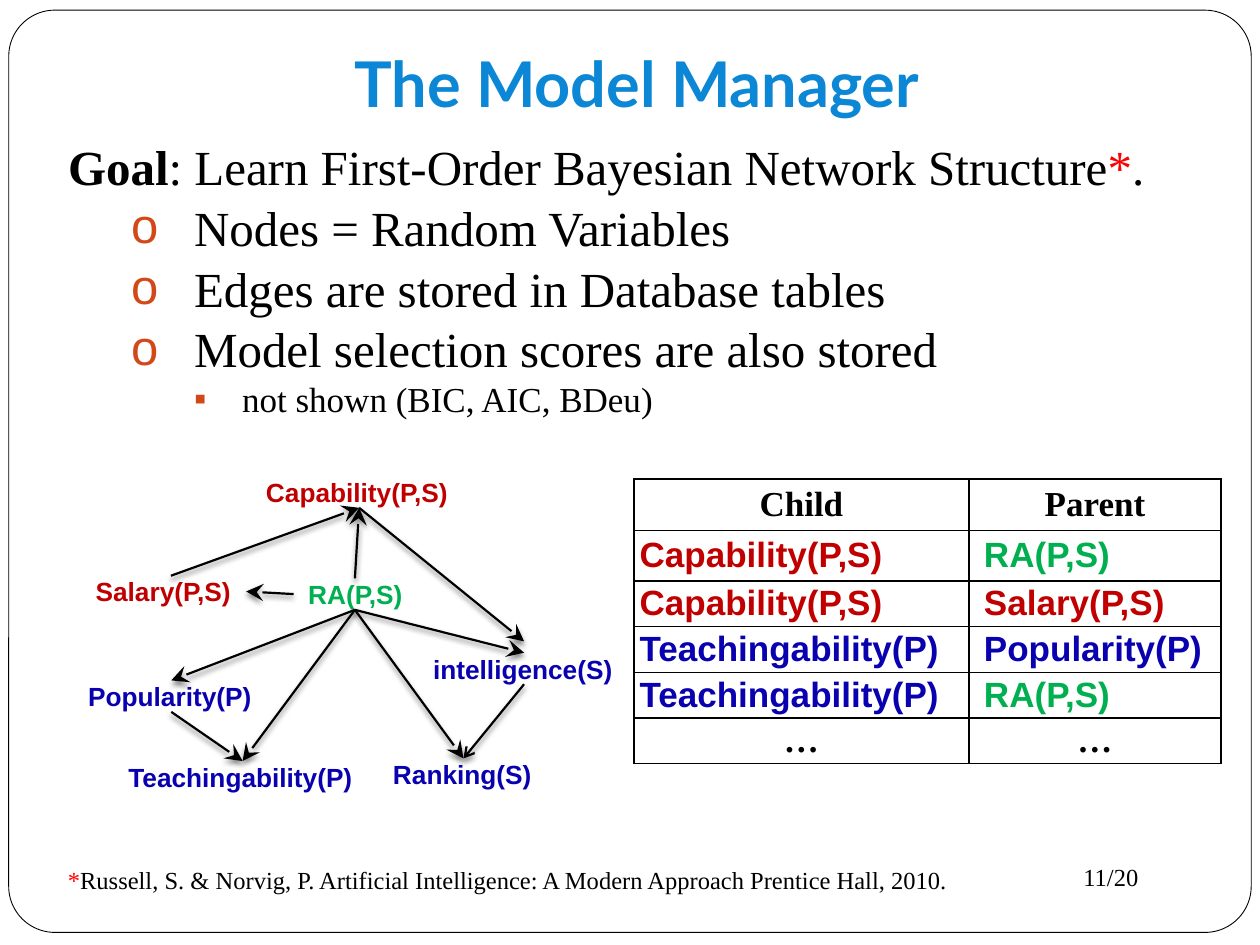
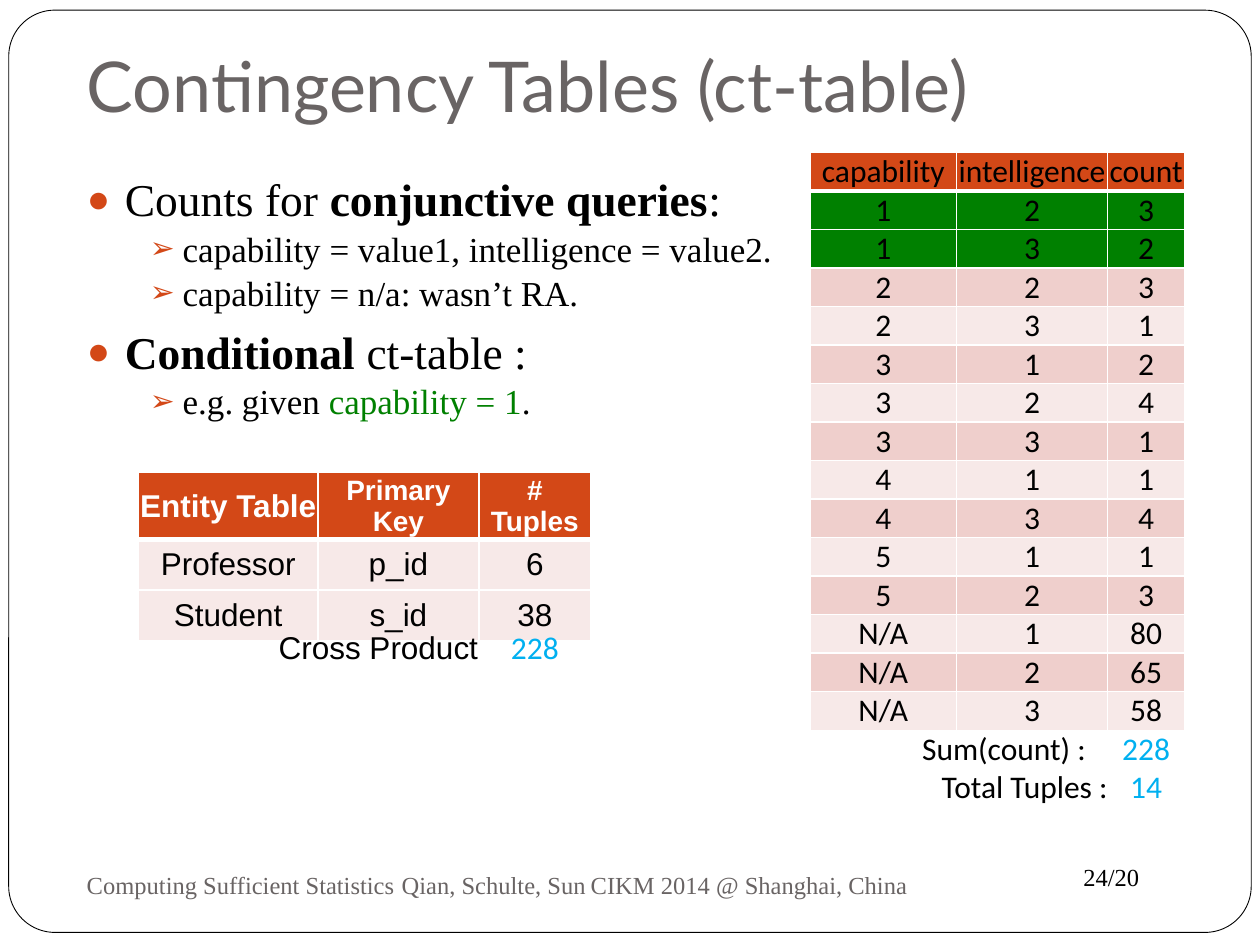
from lxml.etree import SubElement
from pptx import Presentation
from pptx.dml.color import RGBColor
from pptx.enum.shapes import MSO_CONNECTOR as LINE, MSO_SHAPE as SHAPE
from pptx.enum.text import MSO_ANCHOR as ANCHOR, MSO_AUTO_SIZE as FIT, PP_ALIGN as ALIGN
from pptx.oxml.ns import qn
from pptx.util import Pt

# Shared colours and fonts
BLACK, WHITE, RED, GREY = "000000", "FFFFFF", "FF0000", "696464"
ORANGE, ROSE, PALE = "D34817", "EFCFCC", "F7E9E8"
CRIMSON, LEAF, NAVY = "C00000", "00B050", "0901AF"
GREEN, SKY, TITLE_BLUE = "008000", "00B0F0", "0B87D6"
SERIF, SANS, TITLE_FONT, TABLE_FONT = "Times New Roman", "Arial", "Lato", "Calibri"
SMALL_SERIF = dict(name=SERIF, size=Pt(14), color=BLACK)

# Relation diagram: label, colour, left, top, width, left inset
NODES = {
    "Capability(P,S)": (CRIMSON, 152, 272.2, 106.5, 0),
    "RA(P,S)": (LEAF, 167.8, 330.5, 70, 8.3),
    "Salary(P,S)": (CRIMSON, 54.7, 329, 86, 0),
    "Popularity(P)": (NAVY, 50.4, 388.8, 95, 0),
    "intelligence(S)": (NAVY, 247.5, 373, 104, 0),
    "Ranking(S)": (NAVY, 224.6, 433.4, 80.5, 0),
    "Teachingability(P)": (NAVY, 73.4, 434.9, 130.5, 0),
}
NODE_HEIGHT = 18
SIDES = {"top": (0.5, 0), "bottom": (0.5, 1), "left": (0, 0.5), "right": (1, 0.5)}
# Source, side, target, side, arrowhead, gap above the target
EDGES = [
    ("RA(P,S)", "top", "Capability(P,S)", "bottom", "stealth", 0),
    ("Salary(P,S)", "top", "Capability(P,S)", "bottom", "stealth", 0),
    ("RA(P,S)", "bottom", "intelligence(S)", "top", "stealth", 0),
    ("RA(P,S)", "bottom", "Popularity(P)", "top", "stealth", 0),
    ("RA(P,S)", "bottom", "Teachingability(P)", "top", "stealth", 0),
    ("RA(P,S)", "bottom", "Ranking(S)", "top", "stealth", 0),
    ("Popularity(P)", "bottom", "Teachingability(P)", "top", "stealth", 0),
    ("RA(P,S)", "left", "Salary(P,S)", "right", "stealth", 0),
    ("intelligence(S)", "bottom", "Ranking(S)", "top", "arrow", 0),
    ("Capability(P,S)", "bottom", "intelligence(S)", "top", "stealth", 6.5),
]
PARENTS = [
    ("Capability(P,S)", "RA(P,S)"),
    ("Capability(P,S)", "Salary(P,S)"),
    ("Teachingability(P)", "Popularity(P)"),
    ("Teachingability(P)", "RA(P,S)"),
]
COUNTS = [
    (1, 2, 3), (1, 3, 2), (2, 2, 3), (2, 3, 1), (3, 1, 2), (3, 2, 4), (3, 3, 1),
    (4, 1, 1), (4, 3, 4), (5, 1, 1), (5, 2, 3),
    ("N/A", 1, 80), ("N/A", 2, 65), ("N/A", 3, 58),
]


def rgb(value):
    return RGBColor.from_string(value)


def add_node(parent, tag, **attributes):
    return SubElement(parent, qn(tag), {key: str(value) for key, value in attributes.items()})


def set_all(target, values):
    for name, value in values.items():
        setattr(target, name, value)


def style(font, look):
    set_all(font, {key: value for key, value in look.items() if key != "color"})
    font.color.rgb = rgb(look["color"])


def set_margins(target, margins):
    sides = ("margin_left", "margin_top", "margin_right", "margin_bottom")
    set_all(target, {side: Pt(value) for side, value in zip(sides, margins)})


def set_bullet(para, mark, left, hanging, scale):
    """Give a paragraph its indent, and a bullet if there is a mark."""
    props = para._p.get_or_add_pPr()
    props.set("marL", str(Pt(left)))
    props.set("indent", str(-Pt(hanging)))
    if not mark:
        add_node(props, "a:buNone")
        return
    add_node(add_node(props, "a:buClr"), "a:srgbClr", val=ORANGE)
    add_node(props, "a:buSzPct", val=scale * 1000)
    add_node(props, "a:buFont", typeface=SANS)
    add_node(props, "a:buChar", char=mark)


def add_spans(para, look, *spans):
    """Each span is a text or a pair of text and changes to the look."""
    for span in spans:
        text, changes = span if isinstance(span, tuple) else (span, {})
        run = para.add_run()
        run.text = text
        style(run.font, {**look, **changes})


def place(box, left, top, width, height):
    set_all(box, dict(left=Pt(left), top=Pt(top), width=Pt(width), height=Pt(height)))


def add_text(page, at, look, *spans, **frame_values):
    box = page.shapes.add_textbox(*map(Pt, at))
    set_all(box.text_frame, {"word_wrap": True, **frame_values})
    para = box.text_frame.paragraphs[0]
    add_spans(para, look, *spans)
    return para


def start_page(deck, title, number, at, look, align):
    """Slide with the rounded frame, title and page number."""
    page = deck.slides.add_slide(deck.slide_layouts[1])
    frame = page.shapes.add_shape(SHAPE.ROUNDED_RECTANGLE, *map(Pt, (5, 5.8, 710, 527)))
    frame.adjustments[0] = 0.05
    frame.shadow.inherit = False
    frame.fill.solid()
    frame.fill.fore_color.rgb = rgb(WHITE)
    frame.line.color.rgb = rgb(BLACK)
    frame.line.width = Pt(0.5)
    page.shapes.element.insert(2, frame.element)
    heading = page.shapes.title
    place(heading, *at)
    set_all(heading.text_frame, dict(vertical_anchor=ANCHOR.BOTTOM, auto_size=FIT.NONE))
    set_margins(heading.text_frame, (7.2, 3.6, 7.2, 7.2))
    para = heading.text_frame.paragraphs[0]
    para.alignment = align
    add_spans(para, {"name": TITLE_FONT, **look}, title)
    add_text(page, (612, 489, 72, 24), SMALL_SERIF, f"{number}/20")
    return page


def fill_body(page, at, items, scale):
    """Items: level, bullet, left, hanging, space before, size, spans."""
    body = page.placeholders[1]
    place(body, *at)
    frame = body.text_frame
    frame.auto_size = FIT.NONE
    for index, (level, mark, left, hanging, before, size, spans) in enumerate(items):
        para = frame.add_paragraph() if index else frame.paragraphs[0]
        set_all(para, dict(level=level, space_before=Pt(before)))
        set_bullet(para, mark, left, hanging, scale)
        add_spans(para, dict(name=SERIF, size=Pt(size), color=BLACK), *spans)


def set_borders(cell, color, width, bottom):
    props = cell._tc.get_or_add_tcPr()
    for index, side in enumerate(("L", "R", "T", "B")):
        line = add_node(props, f"a:ln{side}", w=Pt(bottom if side == "B" else width))
        if color:
            add_node(add_node(line, "a:solidFill"), "a:srgbClr", val=color)
        else:
            add_node(line, "a:noFill")
        props.insert(index, line)


def add_grid(page, left, top, widths, heights):
    at = map(Pt, (left, top, sum(widths), sum(heights)))
    table = page.shapes.add_table(len(heights), len(widths), *at).table
    table.first_row = table.horz_banding = False
    for column, width in zip(table.columns, widths):
        column.width = Pt(width)
    for row, height in zip(table.rows, heights):
        row.height = Pt(height)
    return table


def fill_cell(cell, text, look, fill=None, border=WHITE, bottom=1,
              align=ALIGN.CENTER, margins=(0.5, 0, 0.5, 0)):
    cell.vertical_anchor = ANCHOR.MIDDLE
    set_margins(cell, margins)
    if fill:
        cell.fill.solid()
        cell.fill.fore_color.rgb = rgb(fill)
    else:
        cell.fill.background()
    set_borders(cell, border, 1, bottom)
    para = cell.text_frame.paragraphs[0]
    para.alignment = align
    add_spans(para, look, str(text))


def add_label(page, text, color, left, top, width, inset):
    box = page.shapes.add_shape(SHAPE.RECTANGLE, *map(Pt, (left, top, width, NODE_HEIGHT)))
    box.shadow.inherit = False
    box.fill.background()
    box.line.color.rgb = rgb(WHITE)
    box.line.width = Pt(0.75)
    set_all(box.text_frame, dict(word_wrap=True, vertical_anchor=ANCHOR.TOP))
    set_margins(box.text_frame, (inset, 0, 0, 0))
    para = box.text_frame.paragraphs[0]
    para.alignment = ALIGN.LEFT
    add_spans(para, dict(name=SANS, size=Pt(15), bold=True, color=color), text)


def side_point(node, side):
    _, left, top, width, _ = NODES[node]
    across, down = SIDES[side]
    return left + across * width, top + down * NODE_HEIGHT


def add_edge(page, source, source_side, target, target_side, head, gap):
    x, y = side_point(target, target_side)
    ends = (*side_point(source, source_side), x, y - gap)
    edge = page.shapes.add_connector(LINE.STRAIGHT, *map(Pt, ends))
    edge.line.color.rgb = rgb(BLACK)
    edge.line.width = Pt(1.25)
    size = "lg" if head == "stealth" else "med"
    add_node(edge.line._get_or_add_ln(), "a:tailEnd", type=head, w=size, len=size)
    effects = add_node(edge.element.spPr, "a:effectLst")
    shadow = add_node(effects, "a:outerShdw", blurRad=Pt(3), dist=Pt(2), dir=5400000,
                      rotWithShape=0)
    add_node(add_node(shadow, "a:srgbClr", val=BLACK), "a:alpha", val=50000)


def add_parent_table(page):
    table = add_grid(page, 362.2, 273.6, (191.5, 144), (29.5, 28.8, 26, 26.5, 26, 26))
    bold = dict(size=Pt(20), bold=True)
    for row, texts in enumerate([("Child", "Parent"), *PARENTS, ("…", "…")]):
        for column, text in enumerate(texts):
            if text in NODES:
                look = dict(bold, name=SANS, color=NODES[text][0])
                layout = dict(align=ALIGN.LEFT, margins=(8.6 if column else 3.3, 0, 0, 0))
            else:
                look, layout = dict(bold, name=SERIF, color=BLACK), {}
            fill_cell(table.cell(row, column), text, look, WHITE, BLACK, **layout)


def add_count_table(page):
    look = dict(name=TABLE_FONT, size=Pt(18), color=BLACK)
    table = add_grid(page, 463, 87.2, (83.5, 86.5, 44), [22] * (len(COUNTS) + 3))
    for row, values in enumerate([("capability", "intelligence", "count"), *COUNTS]):
        fill = ORANGE if row == 0 else GREEN if values[0] == 1 else ROSE if row % 2 else PALE
        for column, value in enumerate(values):
            fill_cell(table.cell(row, column), value, look, fill, bottom=1 if row else 3)
    totals = [("Sum(count) :", 228, 12.5), ("Total Tuples :", 14, 0)]
    for row, (label, total, inset) in enumerate(totals, len(COUNTS) + 1):
        table.cell(row, 0).merge(table.cell(row, 1))
        fill_cell(table.cell(row, 0), label, look, border=None, align=ALIGN.RIGHT,
                  margins=(0, 0, inset, 0))
        fill_cell(table.cell(row, 2), total, dict(look, color=SKY), border=None)


def add_entity_tables(page):
    look = dict(name=SANS, size=Pt(18), color=BLACK)
    header = dict(look, color=WHITE, bold=True)
    table = add_grid(page, 79.2, 270, (102.5, 92, 64), [28.8] * 3)
    for column, (text, size) in enumerate([("Entity Table", 18), ("Primary Key", 16),
                                           ("# Tuples", 16)]):
        fill_cell(table.cell(0, column), text, dict(header, size=Pt(size)), ORANGE, bottom=3)
    for row, values in enumerate([("Professor", "p_id", 6), ("Student", "s_id", 38)], 1):
        for column, value in enumerate(values):
            fill_cell(table.cell(row, column), value, look, PALE)
    product = add_grid(page, 79.2, 356.4, (194.5, 64), [28.8])
    fill_cell(product.cell(0, 0), "Cross Product", look, border=None, align=ALIGN.RIGHT)
    fill_cell(product.cell(0, 1), 228, dict(look, name=TABLE_FONT, color=SKY), border=None)


def build_model_manager(deck):
    page = start_page(deck, "The Model Manager", 11, (50.4, 16.6, 627, 59),
                      dict(size=Pt(36), bold=True, color=TITLE_BLUE), ALIGN.CENTER)
    star = ("*", dict(color=RED))
    goal = [("Goal", dict(bold=True)), ": Learn First-Order Bayesian Network Structure", star, "."]
    points = ["Nodes = Random Variables", "Edges are stored in Database tables",
              "Model selection scores are also stored"]
    fill_body(page, (31.7, 74.2, 651.6, 167), [
        (0, None, 0, 0, 0, 28, goal),
        *[(1, "o", 72, 36, 1.2, 28, [point]) for point in points],
        (3, "▪", 99.4, 27.4, 0, 20, ["not shown (BIC, AIC, BDeu)"]),
    ], 100)
    add_parent_table(page)
    for text, layout in NODES.items():
        add_label(page, text, *layout)
    for edge in EDGES:
        add_edge(page, *edge)
    add_text(page, (31.7, 491, 560, 24.5), SMALL_SERIF, star,
             "Russell, S. & Norvig, P. Artificial Intelligence: "
             "A Modern Approach Prentice Hall, 2010.")


def build_contingency_tables(deck):
    page = start_page(deck, "Contingency Tables (ct-table)", 24, (42.5, 27.4, 592, 52),
                      dict(size=Pt(40), color=GREY), ALIGN.LEFT)
    strong = dict(bold=True)
    top, sub = (0, "●", 21.6, 21.6), (1, "➢", 54.7, 18.7)
    fill_body(page, (42.5, 94.3, 435, 149), [
        (*top, 0, 26, ["Counts for ", ("conjunctive queries", strong), ":"]),
        (*sub, 1, 20, ["capability = value1, intelligence = value2."]),
        (*sub, 1, 20, ["capability = n/a: wasn’t RA."]),
        (*top, 5.8, 26, [("Conditional ", strong), "ct-table :"]),
        (*sub, 1, 20, ["e.g. given ", ("capability = 1", dict(color=GREEN)), "."]),
    ], 85)
    add_count_table(page)
    add_entity_tables(page)
    # Footer in three parts, set apart by tab stops
    footer = add_text(page, (42.5, 487.4, 484.6, 36), dict(SMALL_SERIF, color=GREY),
                      "Computing Sufficient Statistics\tQian, Schulte, Sun\t"
                      "CIKM 2014 @ Shanghai, China", vertical_anchor=ANCHOR.MIDDLE)
    stops = add_node(footer._p.get_or_add_pPr(), "a:tabLst")
    for stop in (180, 288):
        add_node(stops, "a:tab", pos=Pt(stop), algn="l")


def main():
    deck = Presentation()
    set_all(deck, dict(slide_width=Pt(720), slide_height=Pt(540)))
    build_model_manager(deck)
    build_contingency_tables(deck)
    deck.save("out.pptx")


if __name__ == "__main__":
    main()
